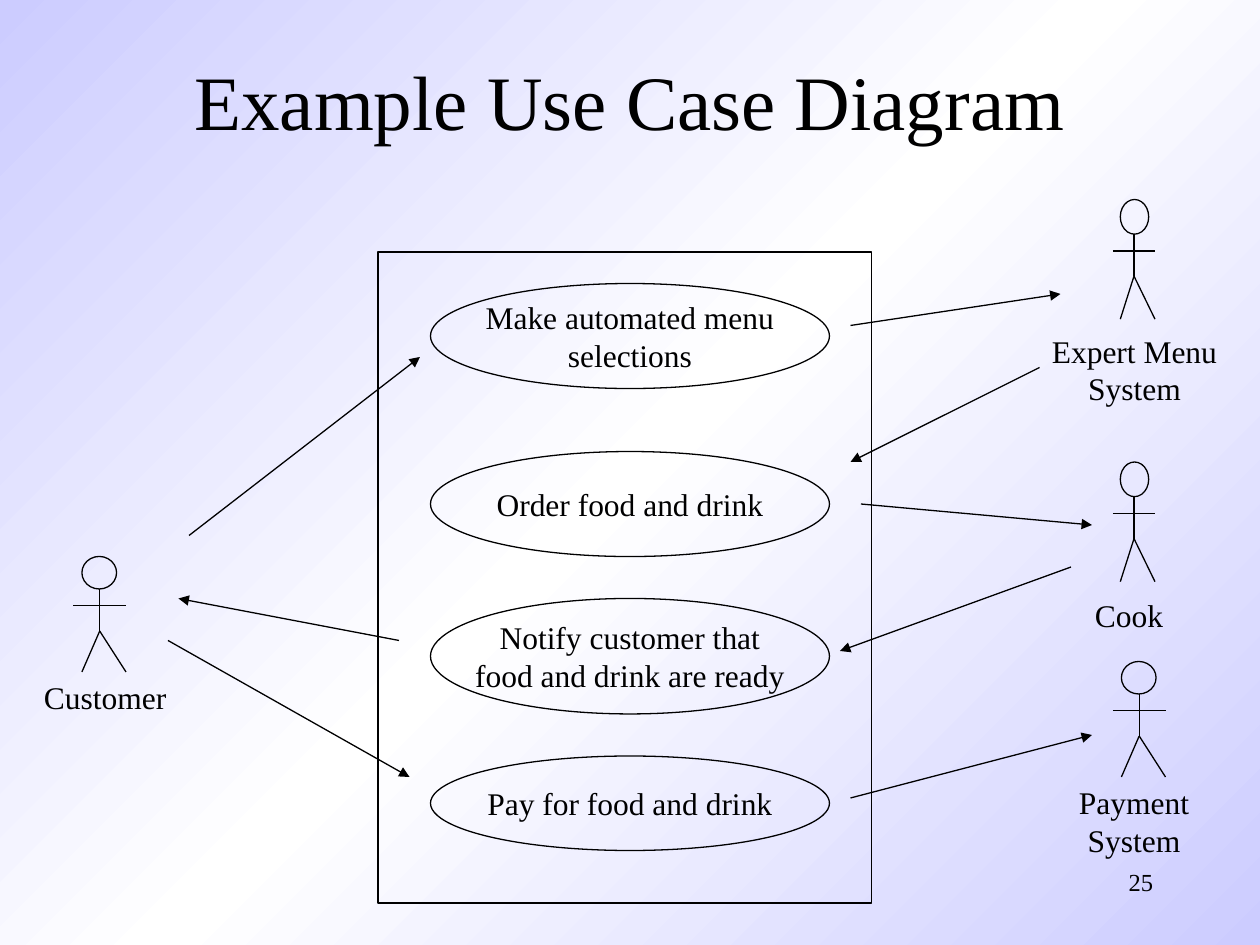
from copy import deepcopy
from dataclasses import dataclass

from pptx import Presentation
from pptx.dml.color import RGBColor
from pptx.enum.shapes import MSO_CONNECTOR, MSO_SHAPE
from pptx.enum.text import MSO_ANCHOR, PP_ALIGN
from pptx.oxml.ns import qn
from pptx.oxml.xmlchemy import OxmlElement
from pptx.shapes.autoshape import Shape
from pptx.shapes.connector import Connector
from pptx.shapes.shapetree import GroupShapes, SlideShapes
from pptx.slide import Slide
from pptx.text.text import TextFrame
from pptx.util import Emu, Pt

LEFT, CENTER, RIGHT = PP_ALIGN.LEFT, PP_ALIGN.CENTER, PP_ALIGN.RIGHT
MIDDLE = MSO_ANCHOR.MIDDLE
STRAIGHT = MSO_CONNECTOR.STRAIGHT
RECTANGLE, OVAL = MSO_SHAPE.RECTANGLE, MSO_SHAPE.OVAL

EMU_PER_PX = 7620
FONT = "Times New Roman"
INK = "000000"
LAVENDER, WHITE = "CCCCFF", "FFFFFF"


@dataclass(frozen=True)
class Box:
    left: int
    top: int
    width: int
    height: int


@dataclass(frozen=True)
class UseCase:
    text: str
    top: int
    height: int


@dataclass(frozen=True)
class Actor:
    name: str
    figure: Box
    label: Box
    align: PP_ALIGN


@dataclass(frozen=True)
class Message:
    start: tuple[int, int]
    end: tuple[int, int]


SYSTEM_BOUNDARY = Box(360, 240, 470, 620)
USE_CASE_LEFT, USE_CASE_WIDTH = 410, 380
USE_CASES = [
    UseCase("Make automated menu\nselections", 270, 100),
    UseCase("Order food and drink", 430, 100),
    UseCase("Notify customer that\nfood and drink are ready", 570, 110),
    UseCase("Pay for food and drink", 720, 90),
]
ACTORS = [
    Actor("Customer", Box(70, 530, 50, 110), Box(30, 640, 148, 48), LEFT),
    Actor("Expert Menu\nSystem", Box(1060, 190, 40, 114), Box(985, 310, 191, 84), CENTER),
    Actor("Cook", Box(1060, 440, 40, 114), Box(1031, 562, 97, 48), LEFT),
    Actor("Payment\nSystem", Box(1060, 630, 50, 110), Box(1011, 740, 138, 84), CENTER),
]
MESSAGES = [
    Message((180, 510), (400, 340)),
    Message((810, 310), (1010, 280)),
    Message((990, 350), (810, 440)),
    Message((820, 480), (1040, 500)),
    Message((1020, 540), (800, 620)),
    Message((380, 610), (170, 570)),
    Message((160, 610), (390, 740)),
    Message((810, 760), (1040, 700)),
]


def px(value: int) -> Emu:
    return Emu(value * EMU_PER_PX)


def color(value: str) -> RGBColor:
    return RGBColor.from_string(value)


def place(box: Box) -> tuple[Emu, Emu, Emu, Emu]:
    return px(box.left), px(box.top), px(box.width), px(box.height)


def write(frame: TextFrame, text: str, size: int, align: PP_ALIGN) -> None:
    frame.text = text
    for paragraph in frame.paragraphs:
        paragraph.alignment = align
        paragraph.font.name = FONT
        paragraph.font.size = Pt(size)
        paragraph.font.color.rgb = color(INK)


def paint_background(slide: Slide) -> None:
    fill = slide.background.fill
    fill.gradient()
    fill.gradient_angle = 315
    stop_list = slide.element.find(".//" + qn("a:gsLst"))
    stop_list.append(deepcopy(stop_list[0]))
    for stop, position, tint in zip(fill.gradient_stops, (0, 0.5, 1), (LAVENDER, WHITE, LAVENDER)):
        stop.position = position
        stop.color.rgb = color(tint)


def add_outline(shapes: SlideShapes | GroupShapes, kind: MSO_SHAPE, box: Box) -> Shape:
    outline = shapes.add_shape(kind, *place(box))
    outline.shadow.inherit = False
    outline.fill.background()
    outline.line.color.rgb = color(INK)
    outline.line.width = Pt(0.75)
    return outline


def add_line(shapes: SlideShapes | GroupShapes, start: tuple[int, int], end: tuple[int, int]) -> Connector:
    line = shapes.add_connector(STRAIGHT, *map(px, start + end))
    line.line.color.rgb = color(INK)
    line.line.width = Pt(0.75)
    line.element.spPr.append(OxmlElement("a:effectLst"))
    return line


def add_message(shapes: SlideShapes, message: Message) -> None:
    arrow = add_line(shapes, message.start, message.end)
    arrowhead = OxmlElement("a:tailEnd")
    arrowhead.set("type", "triangle")
    arrow.element.spPr.find(qn("a:ln")).append(arrowhead)


def add_label(shapes: SlideShapes, text: str, box: Box, size: int, align: PP_ALIGN) -> None:
    frame = shapes.add_textbox(*place(box)).text_frame
    write(frame, text, size, align)
    frame.word_wrap = True


def add_use_case(shapes: SlideShapes, use_case: UseCase) -> None:
    box = Box(USE_CASE_LEFT, use_case.top, USE_CASE_WIDTH, use_case.height)
    frame = add_outline(shapes, OVAL, box).text_frame
    write(frame, use_case.text, 18, CENTER)
    frame.vertical_anchor = MIDDLE
    frame.word_wrap = False


def add_actor(shapes: SlideShapes, actor: Actor) -> None:
    figure = actor.figure
    parts = shapes.add_group_shape().shapes
    right = figure.left + figure.width
    bottom = figure.top + figure.height
    center = figure.left + figure.width // 2
    head = Box(figure.left + round(figure.width / 6), figure.top,
               round(figure.width * 2 / 3), round(figure.height * 2 / 7))
    neck = (center, head.top + head.height)
    hip = (center, figure.top + round(figure.height * 9 / 14))
    arms = figure.top + round(figure.height * 3 / 7)
    add_outline(parts, OVAL, head)
    add_line(parts, neck, hip)
    add_line(parts, hip, (head.left, bottom))
    add_line(parts, hip, (right, bottom))
    add_line(parts, (figure.left, arms), (right, arms))
    add_label(shapes, actor.name, actor.label, 18, actor.align)


def main() -> None:
    deck = Presentation()
    deck.slide_width, deck.slide_height = px(1200), px(900)
    slide = deck.slides.add_slide(deck.slide_layouts[5])
    shapes = slide.shapes
    paint_background(slide)

    title = shapes.title
    title.left, title.top, title.width, title.height = place(Box(90, 20, 1020, 150))
    write(title.text_frame, "Example Use Case Diagram", 44, CENTER)
    title.text_frame.vertical_anchor = MIDDLE

    add_label(shapes, "25", Box(860, 820, 250, 60), 14, RIGHT)
    add_outline(shapes, RECTANGLE, SYSTEM_BOUNDARY)
    for use_case in USE_CASES:
        add_use_case(shapes, use_case)
    for actor in ACTORS:
        add_actor(shapes, actor)
    for message in MESSAGES:
        add_message(shapes, message)
    deck.save("out.pptx")


if __name__ == "__main__":
    main()
